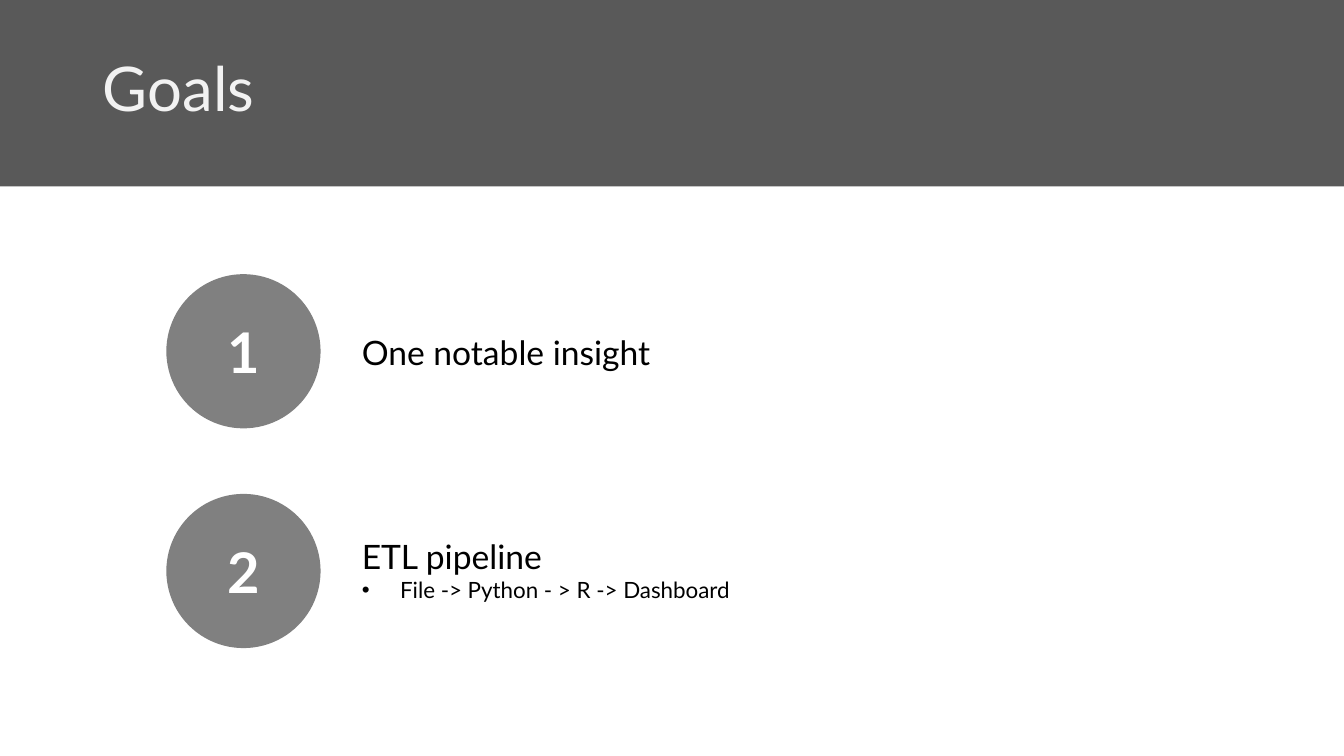
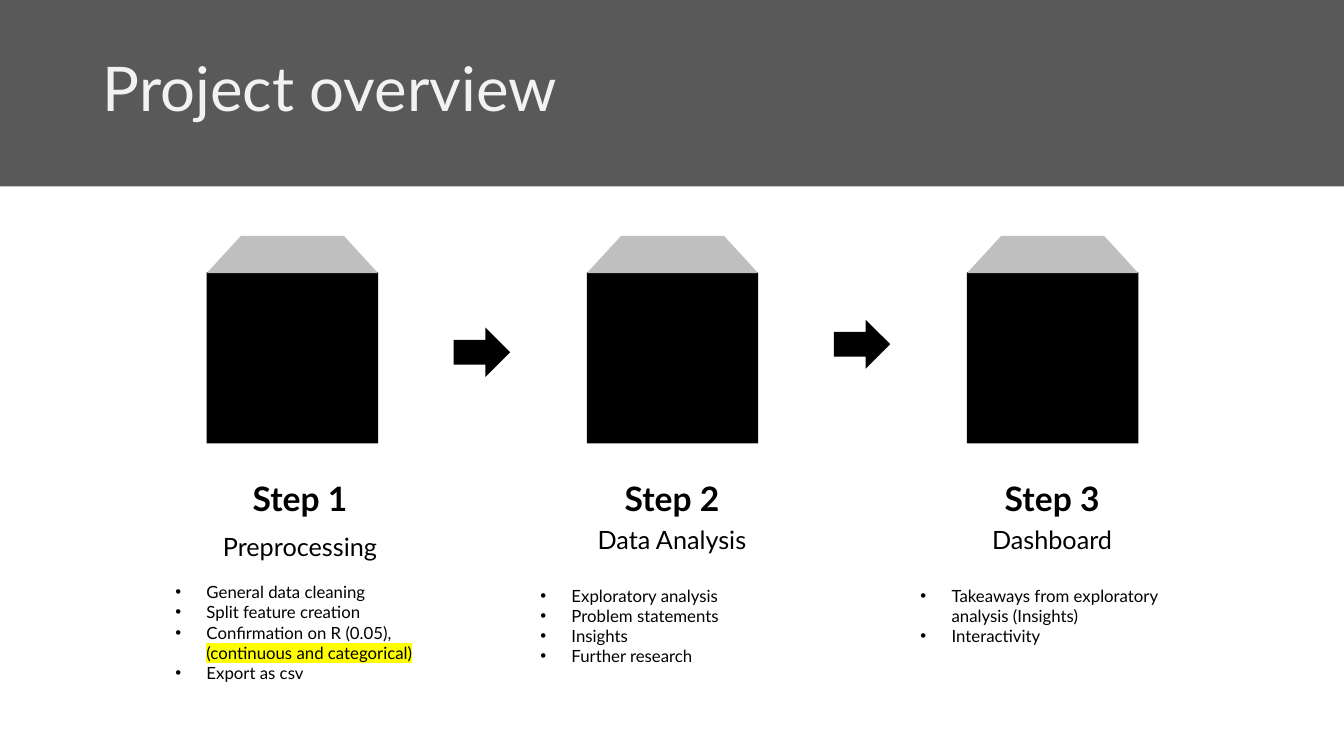
from lxml import etree
from pptx import Presentation
from pptx.dml.color import RGBColor
from pptx.enum import shapes, text
from pptx.oxml import ns
from pptx.util import Inches, Pt

DARK = RGBColor(0x59, 0x59, 0x59)
GREY = RGBColor(0x80, 0x80, 0x80)
LIGHT = RGBColor(0xBF, 0xBF, 0xBF)
PALE = RGBColor(0xF2, 0xF2, 0xF2)
BLACK = RGBColor(0, 0, 0)
WHITE = RGBColor(0xFF, 0xFF, 0xFF)
YELLOW = RGBColor(0xFF, 0xFF, 0)
FONT = "Lato"
SHAPE = shapes.MSO_SHAPE
LEFT, CENTER = text.PP_ALIGN.LEFT, text.PP_ALIGN.CENTER
MIDDLE = text.MSO_ANCHOR.MIDDLE


def write(tf, words, size=24, color=BLACK, bold=False, align=LEFT, before=0,
          spacing=None, indent=0, marked=""):
    p = tf.paragraphs[0]
    if p.runs:
        p = tf.add_paragraph()
    p.alignment, p.space_before, p.line_spacing = align, Pt(before), spacing
    if indent:
        pPr = p._p.get_or_add_pPr()
        pPr.set("marL", str(Inches(indent)))
        pPr.set("indent", str(-Inches(indent)))
        etree.SubElement(pPr, ns.qn("a:buFont"), typeface="Arial")
        etree.SubElement(pPr, ns.qn("a:buChar"), char="•")
    for part in filter(None, (words, marked)):
        r = p.add_run()
        r.text = part
        r.font.size, r.font.bold, r.font.name = Pt(size), bold, FONT
        r.font.color.rgb = color
        if part == marked:
            highlight = etree.Element(ns.qn("a:highlight"))
            etree.SubElement(highlight, ns.qn("a:srgbClr"), val=str(YELLOW))
            r.font._element.find(ns.qn("a:latin")).addprevious(highlight)


class Deck:
    """Holds the presentation, its style and the current slide."""

    def __init__(self):
        self.prs = Presentation()
        self.prs.slide_width, self.prs.slide_height = Inches(13.33), Inches(7.5)
        self.s = None

    def slide(self, title):
        self.s = self.prs.slides.add_slide(self.prs.slide_layouts[5])
        band = self.shape(SHAPE.RECTANGLE, 0, -0.05, 13.42, 1.9, DARK)
        sp = self.s.shapes.title
        sp._element.addprevious(band._element)
        sp.left, sp.top = Inches(0.92), Inches(0.18)
        sp.width, sp.height = Inches(11.5), Inches(1.45)
        sp.text_frame.vertical_anchor = MIDDLE
        write(sp.text_frame, title, size=44, color=PALE, spacing=0.9)

    def shape(self, kind, x, y, w, h, fill, rotation=0):
        sp = self.s.shapes.add_shape(kind, Inches(x), Inches(y), Inches(w), Inches(h))
        sp.shadow.inherit = False
        sp.fill.solid()
        sp.fill.fore_color.rgb = fill
        sp.line.fill.background()
        sp.rotation = rotation
        return sp

    def textbox(self, x, y, w, h):
        tf = self.s.shapes.add_textbox(Inches(x), Inches(y), Inches(w), Inches(h)).text_frame
        tf.word_wrap = True
        return tf

    def badge(self, number, y):
        tf = self.shape(SHAPE.OVAL, 1.65, y, 1.53, 1.53, GREY).text_frame
        tf.vertical_anchor = MIDDLE
        write(tf, str(number), size=40, color=WHITE, bold=True, align=CENTER)

    def box(self, x):
        self.shape(SHAPE.RECTANGLE, x, 2.7, 1.7, 1.7, BLACK)
        self.shape(SHAPE.FLOWCHART_MANUAL_OPERATION, x, 2.34, 1.7, 0.37, LIGHT, 180)

    def step(self, heading, name, bullets, x, w, h, gaps):
        tf = self.textbox(x, 4.69, w, h)
        name_gap, list_gap = gaps
        write(tf, heading, bold=True, align=CENTER)
        write(tf, name, size=18, align=CENTER, before=name_gap)
        for i, (words, marked) in enumerate(bullets):
            write(tf, words, size=12, indent=0.31, marked=marked,
                  before=0 if i else list_gap)


def goals(deck):
    deck.slide("Goals")
    for i in range(2):
        deck.badge(i + 1, 2.72 + 2.18 * i)
    write(deck.textbox(3.49, 3.24, 5.46, 0.5), "One notable insight")
    tf = deck.textbox(3.49, 5.27, 5.74, 0.77)
    write(tf, "ETL pipeline")
    write(tf, "File -> Python - > R -> Dashboard", size=16, indent=0.38)


def overview(deck):
    deck.slide("Project overview")
    pitch = 3.77
    for i in range(3):
        deck.box(2.05 + pitch * i)
    for i, y in enumerate((3.25, 3.17)):
        deck.shape(SHAPE.RIGHT_ARROW, 4.5 + pitch * i, y, 0.56, 0.49, BLACK)
    steps = [
        ("Preprocessing",
         [("General data cleaning", ""), ("Split feature creation", ""),
          ("Confirmation on R (0.05), ", "(continuous and categorical)"),
          ("Export as csv", "")],
         1.64, 2.67, 2.15, (9.6, 14.4)),
        ("Data Analysis",
         [("Exploratory analysis", ""), ("Problem statements", ""),
          ("Insights", ""), ("Further research", "")],
         5.26, 2.81, 2.19, (4.8, 21.6)),
        ("Dashboard",
         [("Takeaways from exploratory analysis (Insights)", ""),
          ("Interactivity", "")],
         9.03, 2.81, 1.78, (4.8, 21.6)),
    ]
    for i, step in enumerate(steps, 1):
        deck.step(f"Step {i}", *step)


def main():
    deck = Deck()
    goals(deck)
    overview(deck)
    deck.prs.save("out.pptx")


if __name__ == "__main__":
    main()
